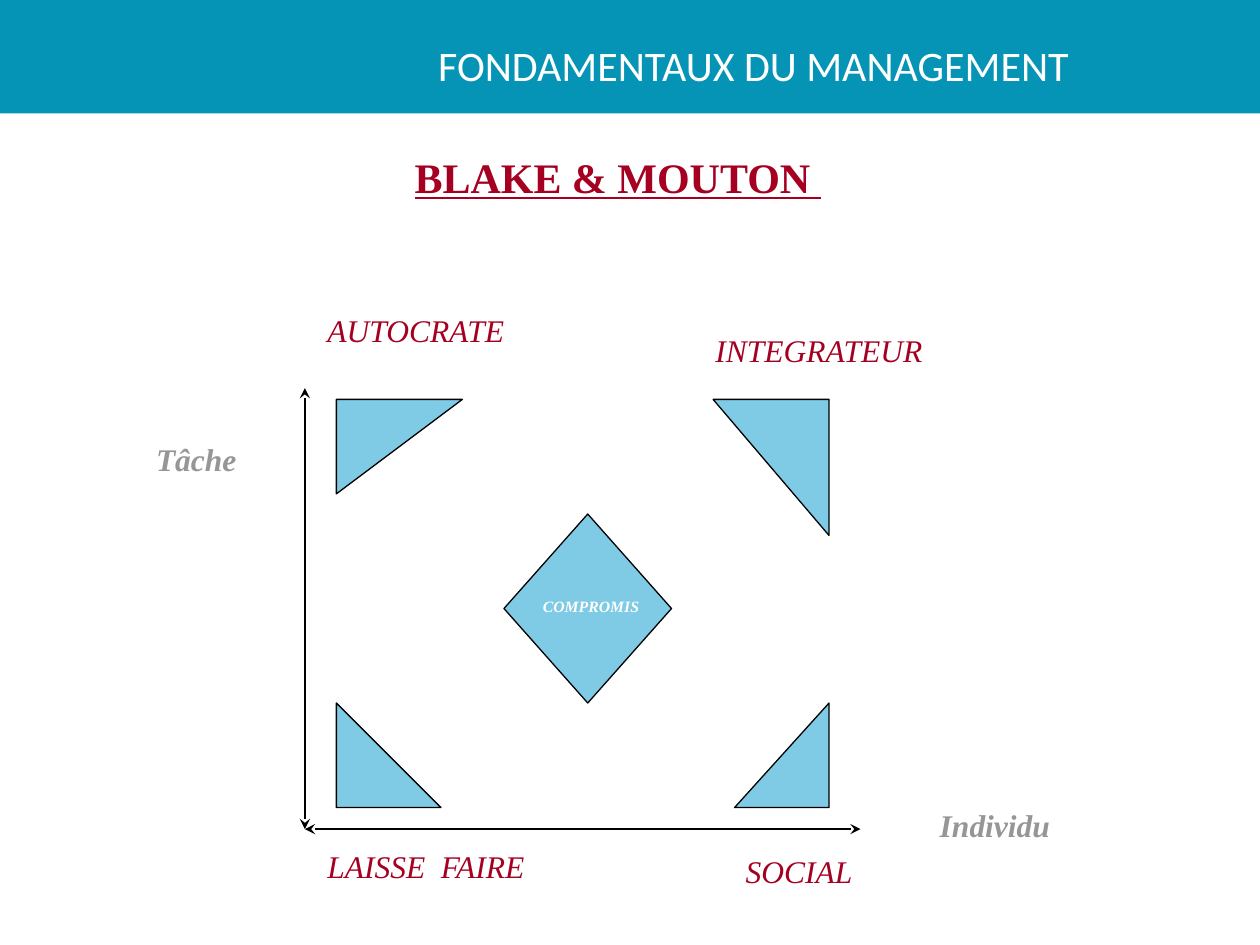
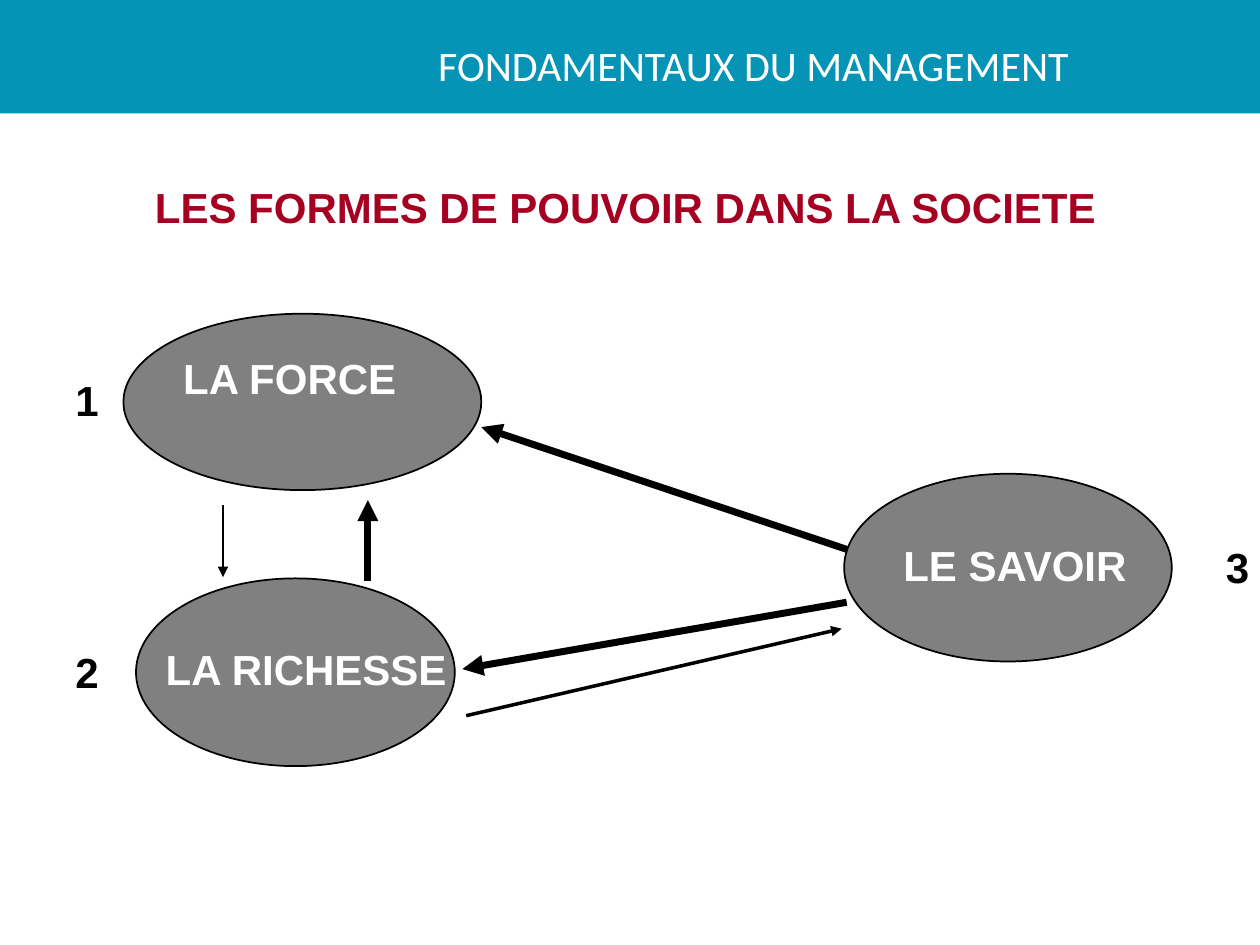
from lxml.etree import SubElement
from pptx import Presentation
from pptx.dml.color import RGBColor
from pptx.enum.shapes import MSO_CONNECTOR, MSO_SHAPE
from pptx.enum.text import MSO_ANCHOR, MSO_AUTO_SIZE, PP_ALIGN
from pptx.oxml.ns import qn
from pptx.util import Inches, Pt

COLOURS = {
    "band": "0594B6",
    "white": "FFFFFF",
    "black": "000000",
    "red": "A50021",
    "axis": "969696",
    "zone": "0099CC",
    "oval": "808080",
}
SERIF = {"name": "Times New Roman", "size": Pt(18), "italic": True}
STYLES = {
    "header": {"name": "Calibri", "size": Pt(24)},
    "serif_title": {"name": "Times New Roman", "size": Pt(24), "bold": True, "underline": True},
    "sans": {"name": "Arial", "size": Pt(24), "bold": True},
    "style_label": SERIF,
    "axis_label": {**SERIF, "bold": True},
    "centre_label": {**SERIF, "bold": True, "size": Pt(9)},
}


def rgb(colour):
    return RGBColor.from_string(COLOURS[colour])


def apply(target, values):
    for name, value in values.items():
        setattr(target, name, value)


def inches(*lengths):
    return [Inches(length) for length in lengths]


def write(shape, text, style, colour, align=PP_ALIGN.LEFT, wrap=False,
          anchor=MSO_ANCHOR.TOP, auto_size=MSO_AUTO_SIZE.SHAPE_TO_FIT_TEXT):
    frame = shape.text_frame
    apply(frame, {"word_wrap": wrap, "vertical_anchor": anchor, "auto_size": auto_size})
    para = frame.paragraphs[0]
    para.alignment = align
    span = para.add_run()
    span.text = text
    apply(span.font, STYLES[style])
    span.font.color.rgb = rgb(colour)


def add_label(page, box, *text, **layout):
    label = page.shapes.add_textbox(*inches(*box))
    write(label, *text, **layout)
    return label


def add_title(page, box, *text, **layout):
    title = page.shapes.title
    apply(title, dict(zip(("left", "top", "width", "height"), inches(*box))))
    write(title, *text, **layout)


def add_figure(page, preset, box, colour, line_width=None, alpha=None, flips=()):
    figure = page.shapes.add_shape(preset, *inches(*box))
    figure.shadow.inherit = False
    figure.fill.solid()
    figure.fill.fore_color.rgb = rgb(colour)
    if line_width:
        figure.line.color.rgb = rgb("black")
        figure.line.width = Pt(line_width)
    else:
        figure.line.fill.background()
    if alpha:
        fill = figure.element.spPr.find(qn("a:solidFill"))
        SubElement(fill[0], qn("a:alpha"), val=str(alpha * 1000))
    for flip in flips:
        figure.element.spPr.find(qn("a:xfrm")).set(flip, "1")
    return figure


def add_arrow(page, start, end, width, **ends):
    arrow = page.shapes.add_connector(MSO_CONNECTOR.STRAIGHT, *inches(*start, *end))
    arrow.line.color.rgb = rgb("black")
    arrow.line.width = Pt(width)
    line = arrow.line._get_or_add_ln()
    for end_name, kind in ends.items():
        SubElement(line, qn(f"a:{end_name}"), type=kind)
    SubElement(arrow.element.spPr, qn("a:effectLst"))


def add_master_header(deck, page):
    band = add_figure(page, MSO_SHAPE.RECTANGLE, (-0.01, 0, 10.01, 0.9), "band")
    heading = add_label(page, (2.95, 0.13, 6.06, 0.76), "FONDAMENTAUX DU MANAGEMENT",
                        "header", "white", align=PP_ALIGN.CENTER, wrap=True,
                        anchor=MSO_ANCHOR.MIDDLE, auto_size=MSO_AUTO_SIZE.NONE)
    tree = deck.slide_master.element.cSld.spTree
    for number, shape in enumerate((band, heading), 101):
        shape.element.xpath(".//p:cNvPr")[0].set("id", str(number))
        tree.append(shape.element)


def add_grid(page, box):
    left, top, width, height = box
    bottom, right = top + height, left + width
    ends = {"headEnd": "stealth", "tailEnd": "stealth"}
    add_arrow(page, (left, top), (left, bottom), 1.5, **ends)
    add_arrow(page, (left, bottom), (right, bottom), 1.5, **ends)

    zone_left, zone_right = left + 0.25, right - 0.25
    zone_top, zone_bottom = top + 0.09, bottom - 0.17
    zone = {"colour": "zone", "line_width": 0.75, "alpha": 50}
    corners = [
        (0.83, 0.83, ()),
        (0.75, 0.83, ("flipH",)),
        (0.92, 1.08, ("flipH", "flipV")),
        (1, 0.75, ("flipV",)),
    ]
    for wide, high, flips in corners:
        x = zone_right - wide if "flipH" in flips else zone_left
        y = zone_top if "flipV" in flips else zone_bottom - high
        add_figure(page, MSO_SHAPE.RIGHT_TRIANGLE, (x, y, wide, high), flips=flips, **zone)
    add_figure(page, MSO_SHAPE.DIAMOND, (left + 1.58, top + 1, 1.33, 1.5), **zone)

    labels = [
        ("Tâche", -1.28, 0.36, 0.84, "axis_label", "axis"),
        ("Individu", 4.94, 3.27, 1.08, "axis_label", "axis"),
        ("SOCIAL", 3.4, 3.63, 1.05, "style_label", "red"),
        ("LAISSE  FAIRE", 0.08, 3.59, 1.8, "style_label", "red"),
        ("INTEGRATEUR", 3.16, -0.5, 1.85, "style_label", "red"),
        ("AUTOCRATE", 0.08, -0.66, 1.62, "style_label", "red"),
    ]
    for text, x, y, wide, style, colour in labels:
        add_label(page, (left + x, top + y, wide, 0.4), text, style, colour)
    add_label(page, (left + 1.79, top + 1.61, 1.1, 0.25), "COMPROMIS",
              "centre_label", "white", wrap=True)


def add_powers(page, box):
    left, top = box[:2]
    powers = [
        ("LA FORCE", (0.48, 0, 2.84, 1.4), (0.73, 0.26, 2.14), ("1", 0, 0.43)),
        ("LE SAVOIR", (6.2, 1.27, 2.6, 1.49), (6.56, 1.74, 1.99), ("3", 9.13, 1.76)),
        ("LA RICHESSE", (0.58, 2.1, 2.53, 1.49), (0.71, 2.57, 2.44), ("2", 0, 2.59)),
    ]
    for name, (x, y, wide, high), (name_x, name_y, name_wide), (rank, rank_x, rank_y) in powers:
        add_figure(page, MSO_SHAPE.OVAL, (left + x, top + y, wide, high), "oval", 1)
        add_label(page, (left + name_x, top + name_y, name_wide, 0.5), name,
                  "sans", "white", align=PP_ALIGN.CENTER)
        add_label(page, (left + rank_x, top + rank_y, 0.38, 0.5), rank, "sans", "black")

    influences = [
        ((6.22, 1.87), (3.32, 0.9), 4),
        ((6.22, 2.29), (3.17, 2.82), 4),
        ((3.2, 3.19), (6.18, 2.5), 2),
        ((1.27, 1.52), (1.27, 2.09), 1),
        ((2.42, 2.12), (2.42, 1.48), 4),
    ]
    for (x1, y1), (x2, y2), width in influences:
        add_arrow(page, (left + x1, top + y1), (left + x2, top + y2), width,
                  tailEnd="triangle")


def main():
    deck = Presentation()
    deck.slide_width, deck.slide_height = inches(10, 7.5)
    title_only = deck.slide_layouts[5]

    grid_page = deck.slides.add_slide(title_only)
    add_master_header(deck, grid_page)
    add_title(grid_page, (3.19, 1.15, 3.43, 0.5), "BLAKE & MOUTON ", "serif_title", "red")
    add_grid(grid_page, (2.42, 3.08, 4.41, 3.5))

    power_page = deck.slides.add_slide(title_only)
    add_title(power_page, (0.87, 1.39, 8.19, 0.5), "LES FORMES DE POUVOIR DANS LA SOCIETE",
              "sans", "red", align=PP_ALIGN.CENTER, wrap=True)
    add_powers(power_page, (0.5, 2.49, 9.5, 3.59))

    deck.save("out.pptx")


if __name__ == "__main__":
    main()
